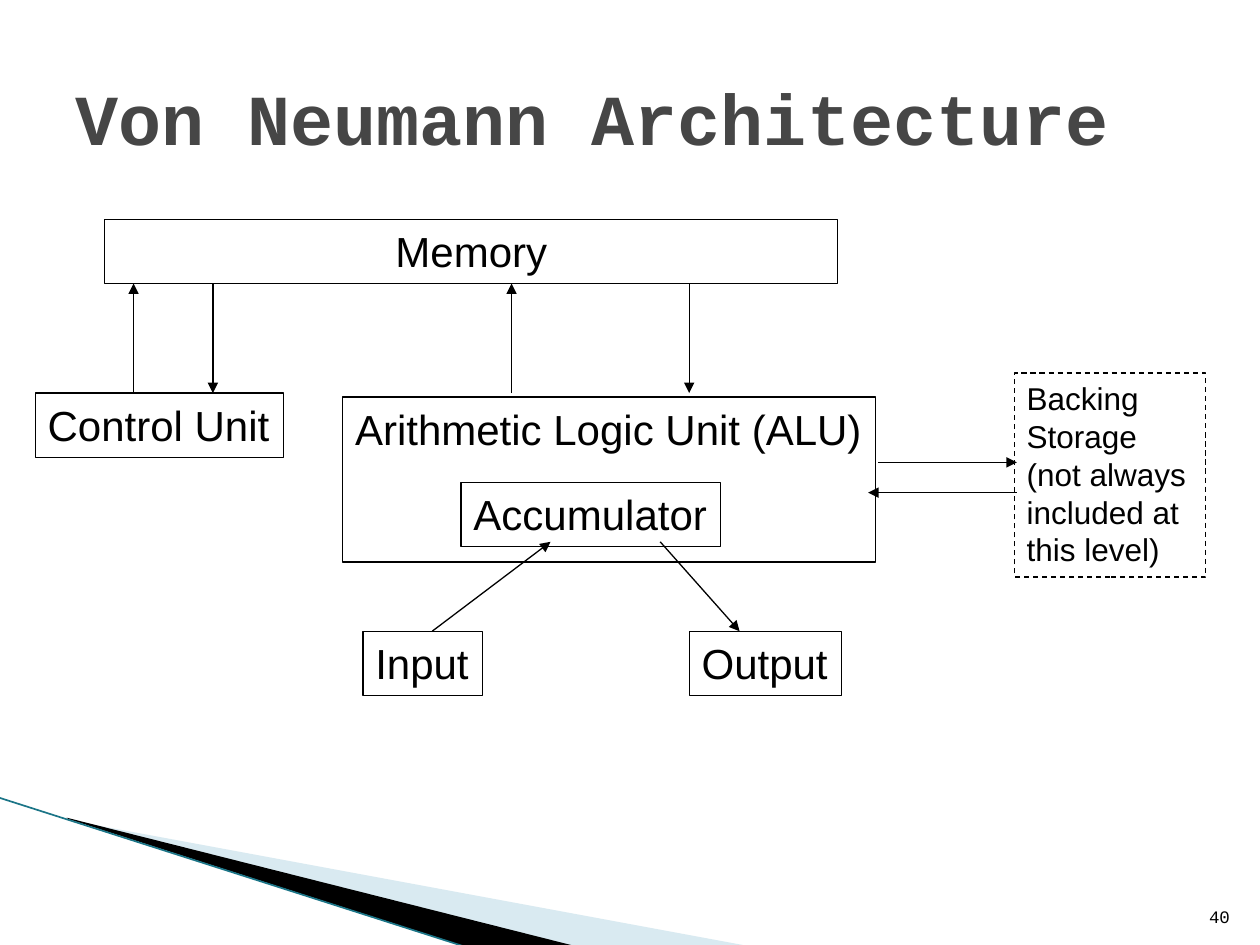
import pptx
import pptx.dml.color
import pptx.enum.dml
import pptx.enum.shapes
import pptx.enum.text
import pptx.oxml
import pptx.oxml.ns
import pptx.util

Inches = pptx.util.Inches
Pt = pptx.util.Pt
Align = pptx.enum.text.PP_ALIGN
Anchor = pptx.enum.text.MSO_ANCHOR


def paint(fmt, color):
    """Give a fill or a font colour format a solid colour."""
    fmt.solid()
    fmt.fore_color.rgb = pptx.dml.color.RGBColor.from_string(color)


def add(parent, tag, **attrs):
    node = pptx.oxml.parse_xml(f"<{tag} {pptx.oxml.ns.nsdecls('a')}/>")
    for name, value in attrs.items():
        node.set(name, value)
    parent.append(node)


def write(frame, lines, size, face="Arial", color="000000", bold=False,
          align=Align.LEFT, anchor=Anchor.TOP, wrap=True):
    frame.word_wrap = wrap
    frame.vertical_anchor = anchor
    frame.text = "\n".join(lines)
    for para in frame.paragraphs:
        para.alignment = align
        para.font.size = Pt(size)
        para.font.name = face
        para.font.bold = bold
        paint(para.font.fill, color)


def label(slide, box, text, size, **style):
    shape = slide.shapes.add_textbox(*map(Inches, box))
    write(shape.text_frame, [text], size, "Courier New", **style)


def block(slide, box, lines, size=24, dash=False, **style):
    """Outlined, unfilled rectangle with text."""
    shape = slide.shapes.add_shape(
        pptx.enum.shapes.MSO_SHAPE.RECTANGLE, *map(Inches, box))
    shape.shadow.inherit = False
    shape.fill.background()
    paint(shape.line.fill, "000000")
    shape.line.width = Pt(0.75)
    if dash:
        shape.line.dash_style = pptx.enum.dml.MSO_LINE.DASH
    write(shape.text_frame, lines, size, **style)


def line(slide, start, end, color="000000", width=0.75, head=True):
    link = slide.shapes.add_connector(
        pptx.enum.shapes.MSO_CONNECTOR.STRAIGHT,
        *map(Inches, (*start, *end)))
    paint(link.line.fill, color)
    link.line.width = Pt(width)
    if head:
        add(link.line._get_or_add_ln(), "a:tailEnd", type="triangle")
    add(link._element.spPr, "a:effectLst")


def wedge(slide, points, color, alpha=None):
    start, *rest = [tuple(map(Inches, point)) for point in points]
    maker = slide.shapes.build_freeform(*start)
    maker.add_line_segments(rest, close=True)
    shape = maker.convert_to_shape()
    shape.shadow.inherit = False
    shape.line.fill.background()
    paint(shape.fill, color)
    if alpha:
        tint = shape._element.spPr.find(".//" + pptx.oxml.ns.qn("a:srgbClr"))
        add(tint, "a:alpha", val=str(alpha * 1000))


def corner(slide, left, top):
    """Wedges that run from the left edge to the slide's foot."""
    def at(*points):
        return [(left + x, top + y) for x, y in points]

    wedge(slide, at((0.55, 0.18), (5.95, 1.18), (4.56, 1.18), (0.55, 0.17)),
          "A0CBDC", 40)
    wedge(slide, at((0.53, 0.16), (4.57, 1.18), (3.72, 1.19), (0.54, 0.17)),
          "000000")
    line(slide, *at((-0.01, 0), (3.71, 1.19)), "1B7587", 0.95, False)


def diagram(slide, left, top):
    """Units and the data flows between them."""
    high = 0.51
    units = [
        ("Input", 2.6, 3.27, 0.95, high, False),
        ("Memory", 0.55, 0, 5.82, high, True),
        ("Output", 5.19, 3.27, 1.21, high, False),
        ("Control Unit", 0, 1.38, 1.97, high, False),
        ("Arithmetic Logic Unit (ALU)", 2.44, 1.41, 4.23, 1.31, True),
        ("Accumulator", 3.38, 2.09, 2.06, high, False),
    ]
    for name, x, y, width, height, wrap in units:
        align = Align.CENTER if name == "Memory" else Align.LEFT
        block(slide, (left + x, top + y, width, height), [name],
              wrap=wrap, align=align)
    block(slide, (left + 7.77, top + 1.22, 1.52, 1.62),
          ["Backing", "Storage", "(not always", "included at this level)"],
          18, dash=True)

    flows = [
        ((3.15, 3.27), (4.09, 2.56)),
        ((4.96, 2.56), (5.59, 3.27)),
        ((6.69, 1.93), (7.79, 1.93)),
        ((7.79, 2.17), (6.61, 2.17)),
    ]
    flows += [((x, 1.38), (x, high)) for x in (0.78, 3.78)]
    flows += [((x, high), (x, 1.38)) for x in (1.41, 5.19)]
    for ends in flows:
        line(slide, *[(left + x, top + y) for x, y in ends])


def main():
    deck = pptx.Presentation()
    deck.slide_width, deck.slide_height = Inches(10), Inches(7.5)
    slide = deck.slides.add_slide(deck.slide_layouts[6])
    corner(slide, 0, 6.33)
    label(slide, (0.5, 0.3, 9, 1.25), "Von Neumann Architecture", 41,
          color="464646", bold=True, anchor=Anchor.MIDDLE)
    diagram(slide, 0.28, 1.74)
    label(slide, (9.46, 7.01, 0.4, 0.4), "40", 10,
          align=Align.RIGHT, anchor=Anchor.BOTTOM)
    deck.save("out.pptx")


if __name__ == "__main__":
    main()
